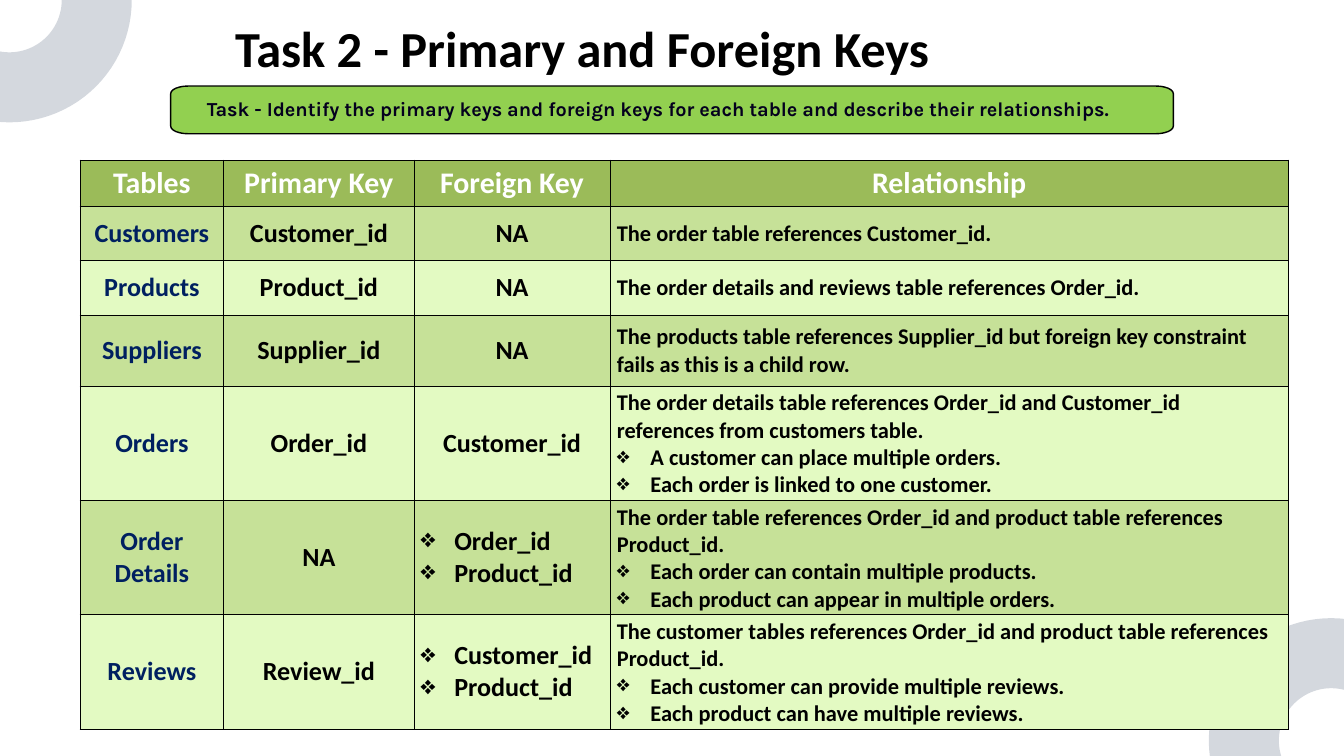
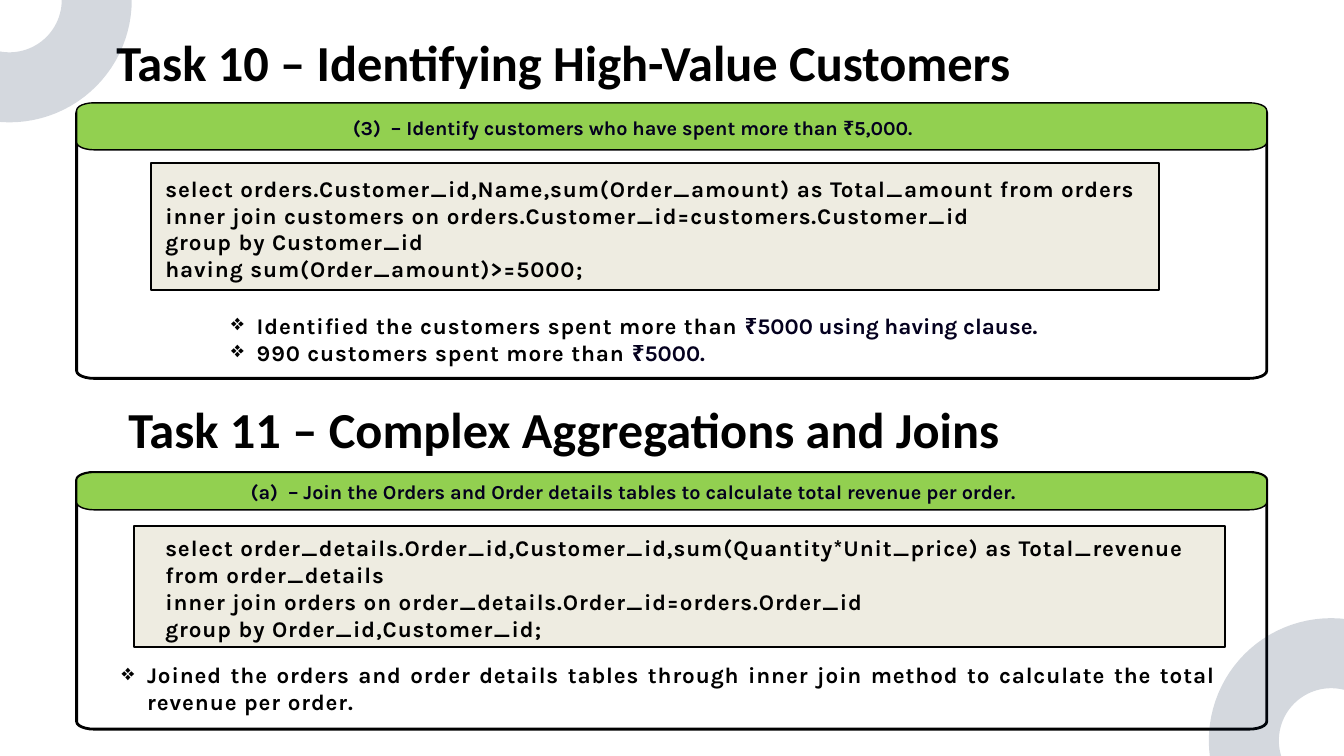
import dataclasses
import math
import typing

import lxml.etree
import pptx
import pptx.dml.color
import pptx.enum.shapes
import pptx.enum.text
import pptx.oxml.ns
import pptx.util

ALIGN = pptx.enum.text.PP_ALIGN
MIDDLE = pptx.enum.text.MSO_ANCHOR.MIDDLE
SHAPE = pptx.enum.shapes.MSO_SHAPE
SLIDE_WIDTH = pptx.util.Inches(20)
SLIDE_HEIGHT = pptx.util.Inches(11.25)


@dataclasses.dataclass(frozen=True)
class Style:
    font: str
    size: float
    color: str
    tracking: float = 0


@dataclasses.dataclass(frozen=True)
class Theme:
    black: str = "000000"
    frame: str = "FFFFFF"
    band: str = "92D050"
    code: str = "EEECE1"
    ring: str = "051D40"
    header_row: str = "9BBB59"
    body_rows: tuple[str, str] = ("C6E198", "E3FAC2")
    title: Style = Style("Calibri", 54, "000000")
    task: Style = Style("Karla", 21.3, "04001E")
    body: Style = Style("Karla", 24, "000000", 1)
    amount: Style = Style("Karla", 24, "04001E")
    header: Style = Style("Calibri", 32, "FFFFFF")
    entity: Style = Style("Calibri", 28, "002060")
    key: Style = Style("Calibri", 28, "000000")
    relation: Style = Style("Calibri", 24, "000000")


THEME = Theme()


class Box(typing.NamedTuple):
    """Left, top, width and height as percentages of the slide."""
    left: float
    top: float
    width: float
    height: float


class Line(typing.NamedTuple):
    """One paragraph; an indent (percent of slide width) makes it a bullet."""
    runs: tuple[tuple[str, Style], ...]
    indent: float = 0
    layout: dict = {}


class QuerySection(typing.NamedTuple):
    title: str
    title_box: Box
    frame: Box
    band: Box
    task: str
    task_box: Box
    code_panel: Box
    code: str
    code_box: Box
    findings: tuple[Line, ...]
    findings_box: Box


class KeyRow(typing.NamedTuple):
    entity: str
    primary: str
    foreign: tuple[str, ...]
    relation: str
    rules: tuple[str, ...] = ()


TITLE_LAYOUT = {"line_spacing": pptx.util.Pt(66)}
CENTERED = {"alignment": ALIGN.CENTER}
JUSTIFIED = {"alignment": ALIGN.JUSTIFY}
FINDING_INDENT, CELL_INDENT = 1.9, 2.5
RINGS = (Box(-5.8, -11.56, 13, 23.11), Box(92.55, 86.4, 13, 23.11))

COLUMN_WIDTHS = (10.7, 14.15, 14.6, 50.45)
ROW_HEIGHTS = (6.13, 7.2, 7.2, 9.42, 15.1, 15.1, 15.1)
HEADINGS = ("Tables", "Primary Key", "Foreign Key", "Relationship")
KEY_ROWS = (
    KeyRow("Customers", "Customer_id", ("NA",), "The order table references Customer_id."),
    KeyRow("Products", "Product_id", ("NA",),
           "The order details and reviews table references Order_id."),
    KeyRow("Suppliers", "Supplier_id", ("NA",),
           "The products table references Supplier_id but foreign key constraint "
           "fails as this is a child row."),
    KeyRow("Orders", "Order_id", ("Customer_id",),
           "The order details table references Order_id and Customer_id references "
           "from customers table.",
           ("A customer can place multiple orders.", "Each order is linked to one customer.")),
    KeyRow("Order Details", "NA", ("Order_id", "Product_id"),
           "The order table references Order_id and product table references Product_id.",
           ("Each order can contain multiple products.",
            "Each product can appear in multiple orders.")),
    KeyRow("Reviews", "Review_id", ("Customer_id", "Product_id"),
           "The customer tables references Order_id and product table references Product_id.",
           ("Each customer can provide multiple reviews.",
            "Each product can have multiple reviews.")),
)

SECTIONS = (
    QuerySection(
        title="Task 10 – Identifying High-Value Customers",
        title_box=Box(8.65, 4, 84.75, 7.82),
        frame=Box(5.7, 13.96, 88.55, 36.09),
        band=Box(5.7, 13.6, 88.55, 6.22),
        task="(3)  – Identify customers who have spent more than ₹5,000.",
        task_box=Box(26.25, 15.29, 43.85, 3.2),
        code_panel=Box(11.25, 21.51, 75, 16.8),
        code="select orders.Customer_id,Name,sum(Order_amount) as Total_amount from orders\n"
             "inner join customers on orders.Customer_id=customers.Customer_id\n"
             "group by Customer_id\n"
             "having sum(Order_amount)>=5000;",
        code_box=Box(12.3, 23.11, 78.9, 14.4),
        findings=(
            Line((("Identified the customers spent more than ", THEME.body),
                  ("₹5000 using having clause.", THEME.amount)), FINDING_INDENT, JUSTIFIED),
            Line((("990 customers spent more than ", THEME.body),
                  ("₹5000.", THEME.amount)), FINDING_INDENT, JUSTIFIED),
        ),
        findings_box=Box(17.2, 41.24, 63.1, 7.2),
    ),
    QuerySection(
        title="Task 11 – Complex Aggregations and Joins",
        title_box=Box(9.55, 52.53, 84.75, 7.82),
        frame=Box(5.7, 62.49, 88.55, 33.96),
        band=Box(5.7, 62.49, 88.55, 4.95),
        task="(a)  – Join the Orders and Order details tables to calculate total revenue per order.",
        task_box=Box(18.65, 63.47, 60.2, 3.2),
        code_panel=Box(10, 69.6, 81.15, 16),
        code="select order_details.Order_id,Customer_id,sum(Quantity*Unit_price) as Total_revenue "
             "from order_details\n"
             "inner join orders on order_details.Order_id=orders.Order_id\n"
             "group by Order_id,Customer_id;",
        code_box=Box(12.3, 70.67, 77.8, 14.4),
        findings=(
            Line((("Joined the orders and order details tables through inner join method "
                   "to calculate the total revenue per order.", THEME.body),),
                 FINDING_INDENT, JUSTIFIED),
        ),
        findings_box=Box(9.05, 87.47, 81.45, 7.2),
    ),
)


def across(share: float) -> int:
    return round(SLIDE_WIDTH * share / 100)


def down(share: float) -> int:
    return round(SLIDE_HEIGHT * share / 100)


def place(box: Box) -> tuple[int, int, int, int]:
    return across(box.left), down(box.top), across(box.width), down(box.height)


def rgb(color: str) -> pptx.dml.color.RGBColor:
    return pptx.dml.color.RGBColor.from_string(color)


def set_values(target, values: dict) -> None:
    for name, value in values.items():
        setattr(target, name, value)


def add_element(parent, tag: str, **attributes: str):
    return lxml.etree.SubElement(parent, pptx.oxml.ns.qn(tag), attributes)


def write_run(paragraph, text: str, style: Style) -> None:
    for index, part in enumerate(text.split("\n")):
        if index:
            paragraph.add_line_break()
        run = paragraph.add_run()
        run.text = part
        set_values(run.font, {"name": style.font, "size": pptx.util.Pt(style.size), "bold": True})
        run.font.color.rgb = rgb(style.color)
        if style.tracking:
            run.font._element.set("spc", str(round(style.tracking * 100)))


def write_lines(frame, lines: typing.Sequence[Line]) -> None:
    for index, line in enumerate(lines):
        paragraph = frame.add_paragraph() if index else frame.paragraphs[0]
        if line.indent:
            properties = paragraph._p.get_or_add_pPr()
            properties.set("marL", str(across(line.indent)))
            properties.set("indent", str(-across(line.indent)))
            add_element(properties, "a:buChar", char="❖")
        set_values(paragraph, line.layout)
        for text, style in line.runs:
            write_run(paragraph, text, style)


def add_text(slide, box: Box, lines: typing.Sequence[Line]) -> None:
    frame = slide.shapes.add_textbox(*place(box)).text_frame
    set_values(frame, {
        "word_wrap": True, "margin_left": 0, "margin_right": 0, "margin_top": 0,
        "margin_bottom": 0, "auto_size": pptx.enum.text.MSO_AUTO_SIZE.SHAPE_TO_FIT_TEXT,
    })
    write_lines(frame, lines)


def add_title(slide, box: Box, title: str) -> None:
    add_text(slide, box, [Line(((title, THEME.title),), layout=TITLE_LAYOUT)])


def paint(shape, fill: str, line_width: float) -> None:
    shape.shadow.inherit = False
    shape.fill.solid()
    shape.fill.fore_color.rgb = rgb(fill)
    shape.line.color.rgb = rgb(THEME.black)
    shape.line.width = pptx.util.Pt(line_width)


def add_soft_panel(slide, box: Box, fill: str, line_width: float) -> None:
    """Draw a panel whose corners are wider than they are tall."""
    left, top, width, height = place(box)
    radius_x, radius_y = across(1.3), down(1)
    corners = ((left + width - radius_x, top + height - radius_y),
               (left + radius_x, top + height - radius_y),
               (left + radius_x, top + radius_y),
               (left + width - radius_x, top + radius_y))
    points = []
    for quarter, (center_x, center_y) in enumerate(corners):
        for degrees in range(quarter * 90, quarter * 90 + 91, 15):
            angle = math.radians(degrees)
            points.append((round(center_x + radius_x * math.cos(angle)),
                           round(center_y + radius_y * math.sin(angle))))
    builder = slide.shapes.build_freeform(*points[0])
    builder.add_line_segments(points[1:], close=True)
    paint(builder.convert_to_shape(), fill, line_width)


def add_rings(slide) -> None:
    for box in RINGS:
        ring = slide.shapes.add_shape(SHAPE.OVAL, *place(box))
        ring.shadow.inherit = False
        ring.fill.background()
        ring.line.color.rgb = rgb(THEME.ring)
        ring.line.width = pptx.util.Pt(75)
        color = ring.line._ln.find(".//" + pptx.oxml.ns.qn("a:srgbClr"))
        add_element(color, "a:alpha", val="16000")


def fill_cell(cell, fill: str, lines: typing.Sequence[Line]) -> None:
    cell.vertical_anchor = MIDDLE
    write_lines(cell.text_frame, lines)
    properties = cell._tc.get_or_add_tcPr()
    for side in ("a:lnL", "a:lnR", "a:lnT", "a:lnB"):
        border = add_element(properties, side, w=str(pptx.util.Pt(1)))
        add_element(add_element(border, "a:solidFill"), "a:srgbClr", val=THEME.black)
    cell.fill.solid()
    cell.fill.fore_color.rgb = rgb(fill)


def centered(text: str, style: Style) -> list[Line]:
    return [Line(((text, style),), layout=CENTERED)]


def bullets(texts: typing.Sequence[str], style: Style) -> list[Line]:
    return [Line(((text, style),), CELL_INDENT) for text in texts]


def row_cells(row: KeyRow) -> list[list[Line]]:
    several = len(row.foreign) > 1
    return [
        centered(row.entity, THEME.entity),
        centered(row.primary, THEME.key),
        bullets(row.foreign, THEME.key) if several else centered(row.foreign[0], THEME.key),
        [Line(((row.relation, THEME.relation),)), *bullets(row.rules, THEME.relation)],
    ]


def add_key_table(slide) -> None:
    box = Box(5.95, 21.16, sum(COLUMN_WIDTHS), sum(ROW_HEIGHTS))
    table = slide.shapes.add_table(len(ROW_HEIGHTS), len(COLUMN_WIDTHS), *place(box)).table
    for column, width in zip(table.columns, COLUMN_WIDTHS):
        column.width = across(width)
    contents = [[centered(heading, THEME.header) for heading in HEADINGS], *map(row_cells, KEY_ROWS)]
    for index, (row, height) in enumerate(zip(table.rows, ROW_HEIGHTS)):
        row.height = down(height)
        fill = THEME.body_rows[(index - 1) % 2] if index else THEME.header_row
        for cell, lines in zip(row.cells, contents[index]):
            fill_cell(cell, fill, lines)


def build_keys_slide(slide) -> None:
    add_soft_panel(slide, Box(12.7, 11.38, 74.6, 6.31), THEME.band, 1.5)
    task = "Task - Identify the primary keys and foreign keys for each table and describe their relationships."
    add_text(slide, Box(15.4, 12.89, 71.85, 3.11),
             [Line(((task, THEME.task),), layout={"line_spacing": pptx.util.Pt(24.9)})])
    add_rings(slide)
    add_title(slide, Box(17.5, 2.13, 71.35, 7.82), "Task 2 - Primary and Foreign Keys")
    add_key_table(slide)


def add_query_section(slide, section: QuerySection) -> None:
    add_soft_panel(slide, section.frame, THEME.frame, 3)
    paint(slide.shapes.add_shape(SHAPE.RECTANGLE, *place(section.code_panel)), THEME.code, 2)
    add_soft_panel(slide, section.band, THEME.band, 1.5)
    add_text(slide, section.task_box, [Line(((section.task, THEME.task),))])
    add_text(slide, section.code_box, [Line(((section.code, THEME.body),))])
    add_text(slide, section.findings_box, section.findings)
    add_title(slide, section.title_box, section.title)


def main() -> None:
    presentation = pptx.Presentation()
    set_values(presentation, {"slide_width": SLIDE_WIDTH, "slide_height": SLIDE_HEIGHT})
    blank = presentation.slide_layouts[6]
    build_keys_slide(presentation.slides.add_slide(blank))
    query_slide = presentation.slides.add_slide(blank)
    for section in SECTIONS:
        add_query_section(query_slide, section)
    add_rings(query_slide)
    presentation.save("out.pptx")


if __name__ == "__main__":
    main()
